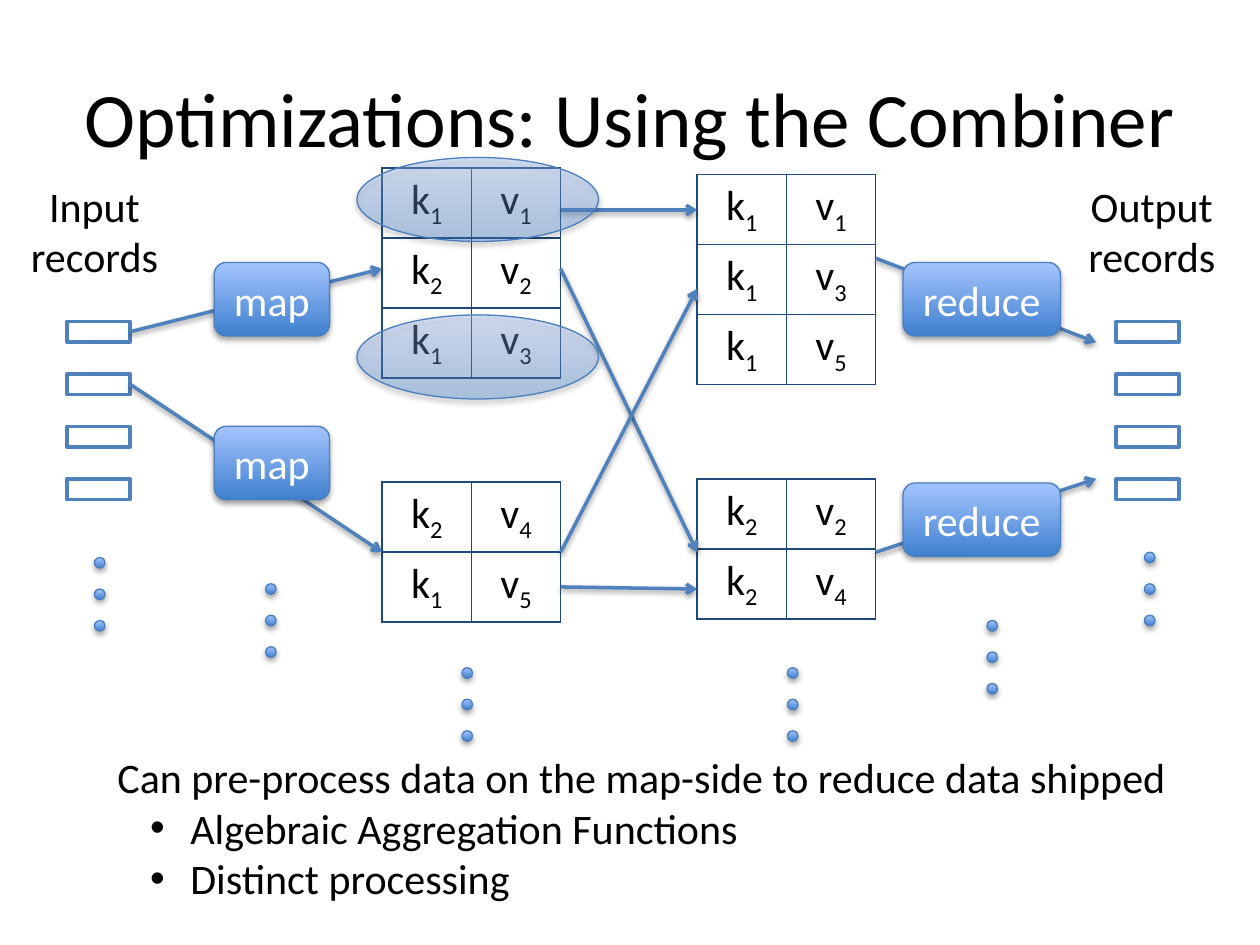
from lxml import etree
from pptx import Presentation
from pptx.dml.color import RGBColor
from pptx.enum.shapes import MSO_CONNECTOR, MSO_SHAPE
from pptx.enum.text import MSO_ANCHOR, PP_ALIGN
from pptx.oxml import parse_xml
from pptx.oxml.ns import nsdecls, qn
from pptx.util import Inches, Pt

COLORS = {
    "text": "000000", "label": "FFFFFF", "paper": "FFFFFF",
    "arrow": "4F81BD", "edge": "4B7EBC", "border": "1F497D",
    "dark": "3F80CE", "light": "A4C4FF", "shadow": "000000",
}
FONT = "Calibri"
CELL_W, CELL_H = 8.5, 6
RECORD_GAP, DOT_GAP = 5, 3


def grid(n):
    """Length of n grid units; the slide is 120 columns by 90 rows."""
    return Inches(n / 12)


def box(x, y, w, h):
    return [grid(n) for n in (x, y, w, h)]


def rgb(name):
    return RGBColor.from_string(COLORS[name])


def add_run(p, text, size=24, color="text", subscript=False):
    r = p.add_run()
    r.text = text
    r.font.size, r.font.name = Pt(size), FONT
    r.font.color.rgb = rgb(color)
    if subscript:
        r._r.get_or_add_rPr().set("baseline", "-25000")


def add_text(shapes, place, lines, size=24, align=PP_ALIGN.CENTER, anchor=MSO_ANCHOR.TOP, wrap=False):
    tf = shapes.add_textbox(*box(*place)).text_frame
    tf.word_wrap, tf.vertical_anchor = wrap, anchor
    for i, line in enumerate(lines):
        p = tf.add_paragraph() if i else tf.paragraphs[0]
        p.alignment = align
        add_run(p, line, size)
    return tf


def add_bullet(p):
    pPr = p._p.get_or_add_pPr()
    pPr.set("marL", str(Inches(0.58)))
    pPr.set("indent", str(Inches(-0.32)))
    etree.SubElement(pPr, qn("a:buFont"), typeface="Arial")
    etree.SubElement(pPr, qn("a:buChar"), char="•")


def add_shadow(shape, alpha, distance):
    effects = parse_xml(
        f'<a:effectLst {nsdecls("a")}><a:outerShdw blurRad="{Pt(3.15)}" dist="{Pt(distance)}" '
        f'dir="5400000" rotWithShape="0"><a:srgbClr val="{COLORS["shadow"]}">'
        f'<a:alpha val="{alpha * 1000}"/></a:srgbClr></a:outerShdw></a:effectLst>')
    shape._element.spPr.append(effects)


def add_glossy(shapes, kind, place, text="", opacity=100):
    """Shape with a blue vertical gradient and a soft shadow."""
    sp = shapes.add_shape(kind, *box(*place))
    sp.fill.gradient()
    sp.fill.gradient_angle = 90
    for stop, name in zip(sp.fill.gradient_stops, ("dark", "light")):
        stop.color.rgb = rgb(name)
    if opacity < 100:
        for clr in sp._element.spPr.iter(qn("a:srgbClr")):
            etree.SubElement(clr, qn("a:alpha"), val=str(opacity * 1000))
    sp.line.color.rgb, sp.line.width = rgb("edge"), Pt(0.75)
    add_shadow(sp, 35, 1.8)
    if text:
        tf = sp.text_frame
        tf.vertical_anchor = MSO_ANCHOR.MIDDLE
        tf.paragraphs[0].alignment = PP_ALIGN.CENTER
        add_run(tf.paragraphs[0], text, color="label")


def add_records(shapes, x):
    for i in range(4):
        sp = shapes.add_shape(MSO_SHAPE.RECTANGLE, *box(x, 30.6 + i * RECORD_GAP, 6, 2))
        sp.shadow.inherit = False
        sp.fill.solid()
        sp.fill.fore_color.rgb = rgb("paper")
        sp.line.color.rgb, sp.line.width = rgb("arrow"), Pt(2)


def add_dots(shapes, x, y):
    group = shapes.add_group_shape()
    for i in range(3):
        add_glossy(group.shapes, MSO_SHAPE.OVAL, (x, y + i * DOT_GAP, 1, 1))


def add_arrow(shapes, x1, y1, x2, y2):
    line = shapes.add_connector(MSO_CONNECTOR.STRAIGHT, *box(x1, y1, x2, y2))
    line.line.color.rgb, line.line.width = rgb("arrow"), Pt(2)
    etree.SubElement(line.line._get_or_add_ln(), qn("a:tailEnd"), type="arrow")
    add_shadow(line, 38, 1.6)


def add_borders(cell):
    tcPr = cell._tc.get_or_add_tcPr()
    for i, side in enumerate(("lnL", "lnR", "lnT", "lnB")):
        tcPr.insert(i, parse_xml(
            f'<a:{side} {nsdecls("a")} w="{Pt(1)}"><a:solidFill>'
            f'<a:srgbClr val="{COLORS["border"]}"/></a:solidFill></a:{side}>'))


def add_pairs(shapes, x, y, pairs):
    """Table of key and value, each a letter with a subscript digit."""
    place = box(x, y, 2 * CELL_W, len(pairs) * CELL_H)
    table = shapes.add_table(len(pairs), 2, *place).table
    table.first_row = table.horz_banding = False
    for row, digits in enumerate(pairs):
        for col, (letter, digit) in enumerate(zip("kv", digits)):
            cell = table.cell(row, col)
            cell.fill.background()
            add_borders(cell)
            cell.vertical_anchor = MSO_ANCHOR.MIDDLE
            p = cell.text_frame.paragraphs[0]
            p.alignment = PP_ALIGN.CENTER
            add_run(p, letter)
            add_run(p, digit, subscript=True)


def main():
    prs = Presentation()
    prs.slide_width, prs.slide_height = grid(120), grid(90)
    s = prs.slides.add_slide(prs.slide_layouts[6]).shapes

    add_text(s, (6, 3.6, 108, 15), ["Optimizations: Using the Combiner"], 44,
             anchor=MSO_ANCHOR.MIDDLE, wrap=True)
    for x, label_x, label in ((6.4, 1.7, "Input"), (106.3, 102.4, "Output")):
        add_records(s, x)
        add_text(s, (label_x, 16.6, 14.6, 10.9), [label, "records"])

    for x, y, pairs in (
        (36.4, 16, ("11", "22", "13")), (36.4, 45.9, ("24", "15")),
        (66.4, 16.6, ("11", "13", "15")), (66.4, 45.6, ("22", "24")),
    ):
        add_pairs(s, x, y, pairs)

    for ends in (
        (12.4, 31.6, 36.4, 25.6), (12.4, 36.6, 36.4, 52.6),
        (53.4, 20, 66.4, 20), (53.4, 25.6, 66.4, 52.6),
        (53.4, 52.6, 66.4, 27.5), (53.4, 55.9, 66.4, 56.1),
        (83.4, 24.6, 104.4, 32.6), (83.4, 52.6, 104.4, 45.6),
    ):
        add_arrow(s, *ends)

    for text, x, y, w in (("map", 20.4, 25, 11), ("map", 20.4, 40.6, 11),
                          ("reduce", 86, 25, 15), ("reduce", 86, 46, 15)):
        add_glossy(s, MSO_SHAPE.ROUNDED_RECTANGLE, (x, y, w, 7), text)

    for x, y in ((9, 53.1), (25.3, 55.6), (44, 63.6), (75, 63.6), (94, 59.1), (109, 52.6)):
        add_dots(s, x, y)
    for y in (15, 30):
        add_glossy(s, MSO_SHAPE.OVAL, (34, y, 23, 8), opacity=34)

    notes = add_text(s, (10, 71, 103.2, 15.7), [
        "Can pre-process data on the map-side to reduce data shipped",
        "Algebraic Aggregation Functions",
        "Distinct processing",
    ], align=PP_ALIGN.LEFT)
    for p in notes.paragraphs[1:]:
        p.level = 1
        add_bullet(p)

    prs.save("out.pptx")


if __name__ == "__main__":
    main()
